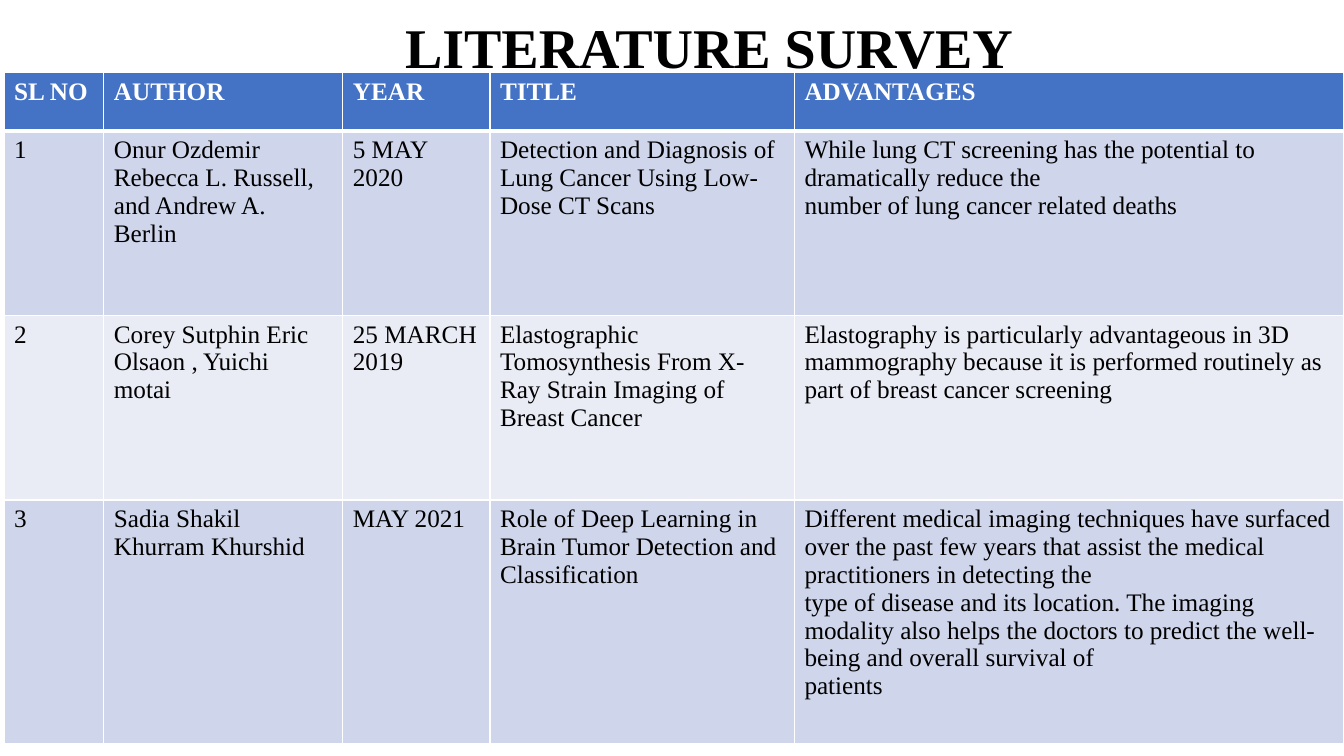
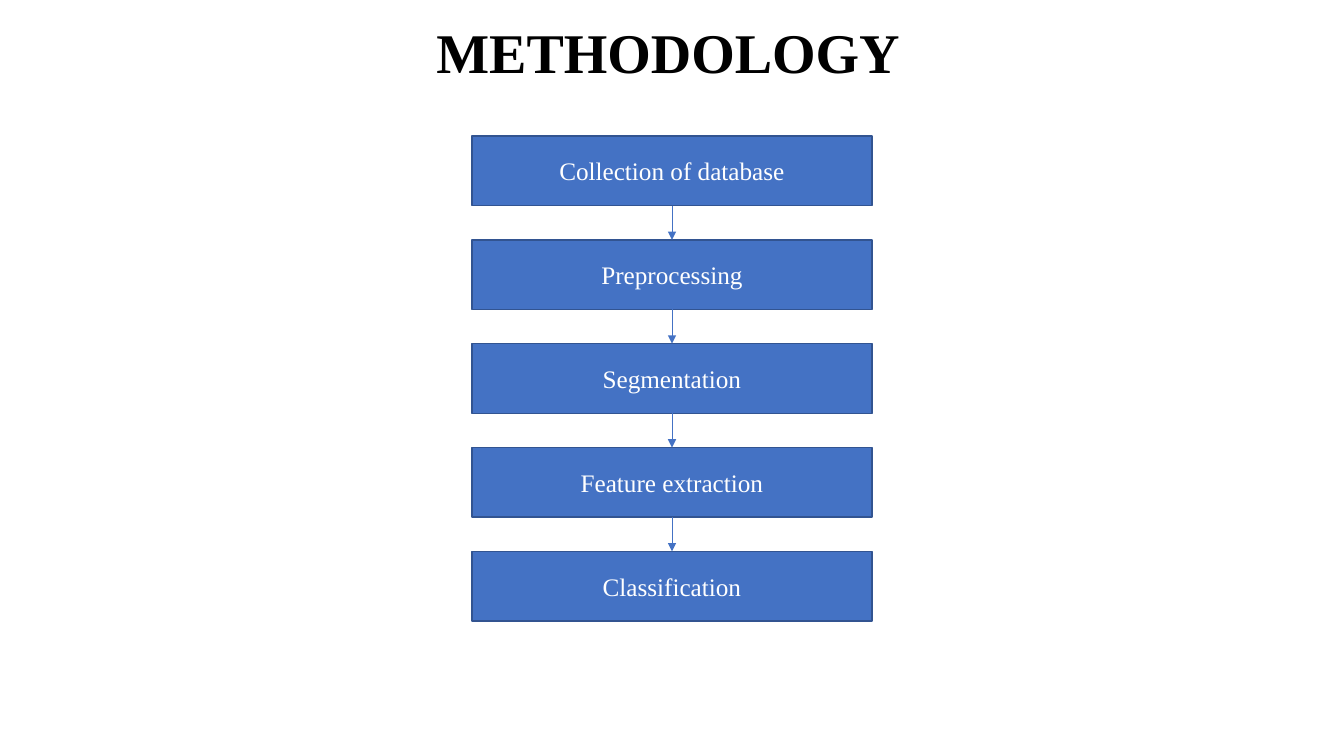
"""Build the literature survey and methodology slides."""
from dataclasses import dataclass
from itertools import pairwise

from lxml import etree
from pptx import Presentation
from pptx.dml.color import RGBColor
from pptx.enum.shapes import MSO_CONNECTOR as Connector, MSO_SHAPE as Preset
from pptx.enum.text import MSO_ANCHOR as Anchor, PP_ALIGN as Align
from pptx.oxml.ns import qn
from pptx.shapes.autoshape import Shape
from pptx.slide import Slide
from pptx.table import _Cell as Cell
from pptx.text.text import TextFrame
from pptx.util import Inches, Pt

FONT = "Times New Roman"
BLACK, WHITE = "000000", "FFFFFF"
BLUE, DARK_BLUE = "4472C4", "325491"
BAND_COLORS = ("E9EBF5", "CFD5EA")
TITLE_SIZE, BODY_SIZE = 40, 18
BOTTOM_SITE, TOP_SITE = 2, 0


@dataclass(frozen=True)
class Box:
    left: float
    top: float
    width: float
    height: float

    def lengths(self) -> tuple[Inches, ...]:
        return tuple(Inches(v) for v in (self.left, self.top, self.width, self.height))


@dataclass(frozen=True)
class Column:
    heading: str
    width: float


@dataclass(frozen=True)
class Paper:
    authors: str
    year: str
    title: str
    advantages: str
    height: float


COLUMNS = (
    Column("SL NO", 0.99),
    Column("AUTHOR", 2.37),
    Column("YEAR", 1.46),
    Column("TITLE", 3.02),
    Column("ADVANTAGES", 5.45),
)
HEADER_HEIGHT = 0.58
PAPERS = (
    Paper(
        "Onur Ozdemir Rebecca L. Russell, and Andrew A. Berlin",
        "5 MAY 2020",
        "Detection and Diagnosis of Lung Cancer Using Low-Dose CT Scans",
        "While lung CT screening has the potential to dramatically reduce the\n"
        "number of lung cancer related deaths",
        1.83,
    ),
    Paper(
        "Corey Sutphin Eric Olsaon , Yuichi motai",
        "25 MARCH 2019",
        "Elastographic Tomosynthesis From X-Ray Strain Imaging of Breast Cancer",
        "Elastography is particularly advantageous in 3D mammography because it is "
        "performed routinely as part of breast cancer screening",
        1.83,
    ),
    Paper(
        "Sadia Shakil\nKhurram Khurshid",
        "MAY 2021",
        "Role of Deep Learning in Brain Tumor Detection and Classification",
        "Different medical imaging techniques have surfaced over the past few years "
        "that assist the medical practitioners in detecting the\n"
        "type of disease and its location. The imaging modality also helps the doctors "
        "to predict the well-being and overall survival of\n"
        "patients",
        2.42,
    ),
)
STEPS = (
    "Collection of database",
    "Preprocessing",
    "Segmentation",
    "Feature extraction",
    "Classification",
)
FIRST_STEP = Box(4.68, 1.35, 3.97, 0.69)
STEP_PITCH = 1.03


def color(value: str) -> RGBColor:
    return RGBColor.from_string(value)


def write(frame: TextFrame, text: str, size: float, text_color: str,
          bold: bool = False, align: Align = Align.LEFT) -> None:
    frame.text = text
    for paragraph in frame.paragraphs:
        paragraph.alignment = align
        paragraph.font.name = FONT
        paragraph.font.size = Pt(size)
        paragraph.font.bold = bold
        paragraph.font.color.rgb = color(text_color)


def add_title(slide: Slide, text: str, box: Box) -> None:
    frame = slide.shapes.add_textbox(*box.lengths()).text_frame
    frame.word_wrap = True
    frame.vertical_anchor = Anchor.MIDDLE
    write(frame, text, TITLE_SIZE, BLACK, bold=True)
    frame.paragraphs[0].line_spacing = 0.9


def set_borders(cell: Cell, top: float, bottom: float) -> None:
    properties = cell._tc.get_or_add_tcPr()
    for index, (side, width) in enumerate(
            (("L", 1), ("R", 1), ("T", top), ("B", bottom))):
        line = etree.Element(qn(f"a:ln{side}"), w=str(Pt(width)))
        fill = etree.SubElement(line, qn("a:solidFill"))
        etree.SubElement(fill, qn("a:srgbClr"), val=WHITE)
        properties.insert(index, line)


def add_survey_table(slide: Slide) -> None:
    rows = [[column.heading for column in COLUMNS]]
    rows += [[str(number), paper.authors, paper.year, paper.title, paper.advantages]
             for number, paper in enumerate(PAPERS, 1)]
    heights = [HEADER_HEIGHT] + [paper.height for paper in PAPERS]
    box = Box(0.04, 0.72, sum(column.width for column in COLUMNS), sum(heights))
    table = slide.shapes.add_table(len(rows), len(COLUMNS), *box.lengths()).table
    for table_column, column in zip(table.columns, COLUMNS):
        table_column.width = Inches(column.width)
    for row_index, (texts, height) in enumerate(zip(rows, heights)):
        table.rows[row_index].height = Inches(height)
        header = row_index == 0
        for column_index, text in enumerate(texts):
            cell = table.cell(row_index, column_index)
            cell.fill.solid()
            cell.fill.fore_color.rgb = color(
                BLUE if header else BAND_COLORS[row_index % 2])
            write(cell.text_frame, text, BODY_SIZE, WHITE if header else BLACK, header)
            set_borders(cell, top=3 if row_index == 1 else 1, bottom=3 if header else 1)


def add_step(slide: Slide, text: str, box: Box) -> Shape:
    shape = slide.shapes.add_shape(Preset.RECTANGLE, *box.lengths())
    shape.shadow.inherit = False
    shape.fill.solid()
    shape.fill.fore_color.rgb = color(BLUE)
    shape.line.color.rgb = color(DARK_BLUE)
    shape.line.width = Pt(1)
    shape.text_frame.vertical_anchor = Anchor.MIDDLE
    write(shape.text_frame, text, BODY_SIZE, WHITE, align=Align.CENTER)
    return shape


def add_arrow(slide: Slide, upper: Shape, lower: Shape) -> None:
    connector = slide.shapes.add_connector(Connector.STRAIGHT, 0, 0, 0, 0)
    connector.begin_connect(upper, BOTTOM_SITE)
    connector.end_connect(lower, TOP_SITE)
    connector.line.color.rgb = color(BLUE)
    connector.line.width = Pt(0.5)
    properties = connector._element.spPr
    etree.SubElement(properties.find(qn("a:ln")), qn("a:tailEnd"), type="triangle")
    etree.SubElement(properties, qn("a:effectLst"))


def add_flow(slide: Slide) -> None:
    first = FIRST_STEP
    shapes = [
        add_step(slide, text, Box(first.left, first.top + index * STEP_PITCH,
                                  first.width, first.height))
        for index, text in enumerate(STEPS)
    ]
    for upper, lower in pairwise(shapes):
        add_arrow(slide, upper, lower)


def main() -> None:
    presentation = Presentation()
    presentation.slide_width = Inches(13.33)
    presentation.slide_height = Inches(7.5)
    blank = presentation.slide_layouts[6]

    survey = presentation.slides.add_slide(blank)
    add_title(survey, "LITERATURE SURVEY", Box(3.92, 0.11, 8.73, 0.78))
    add_survey_table(survey)

    methodology = presentation.slides.add_slide(blank)
    add_title(methodology, "METHODOLOGY", Box(4.23, 0.14, 5.38, 0.81))
    add_flow(methodology)

    presentation.save("out.pptx")


main()
